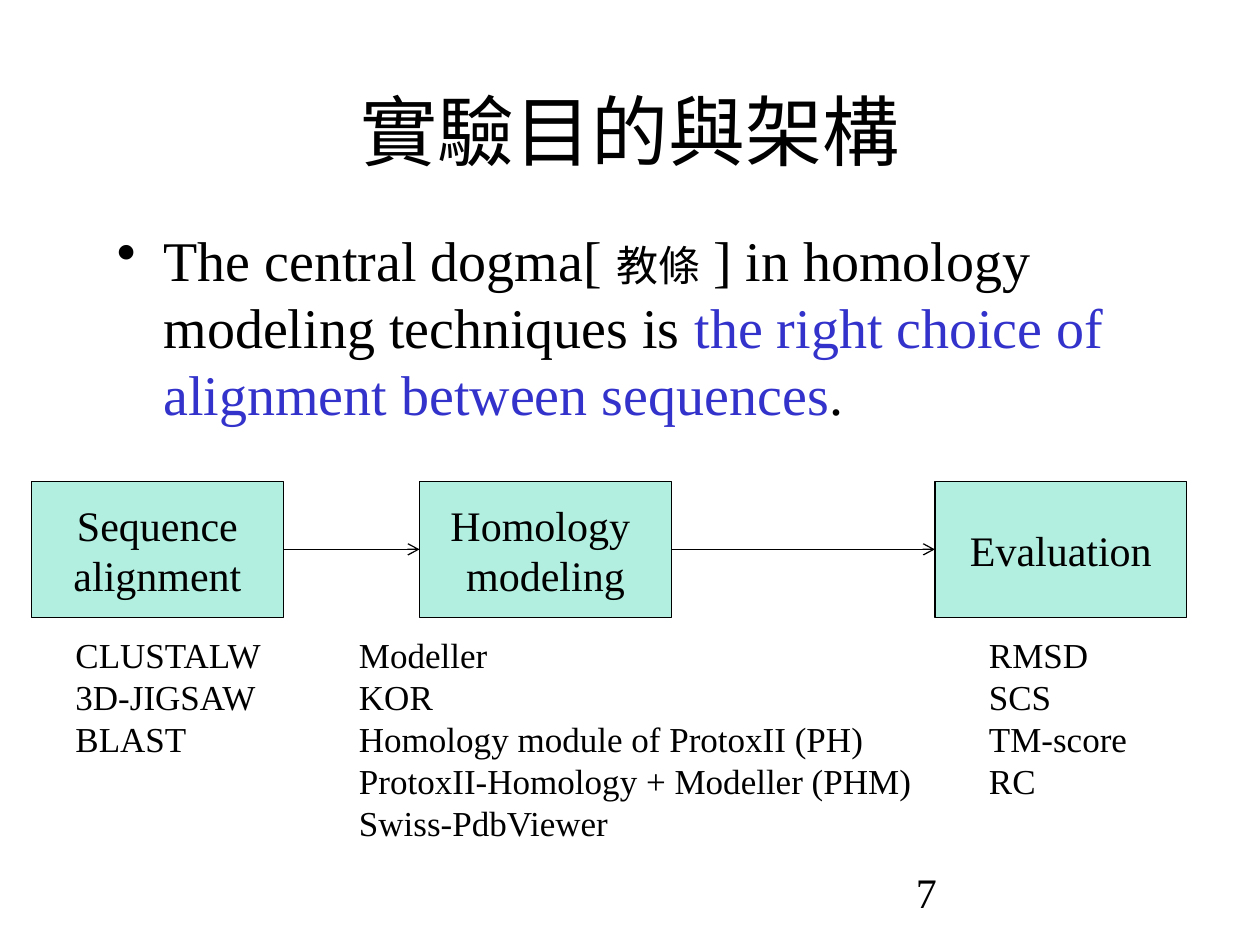
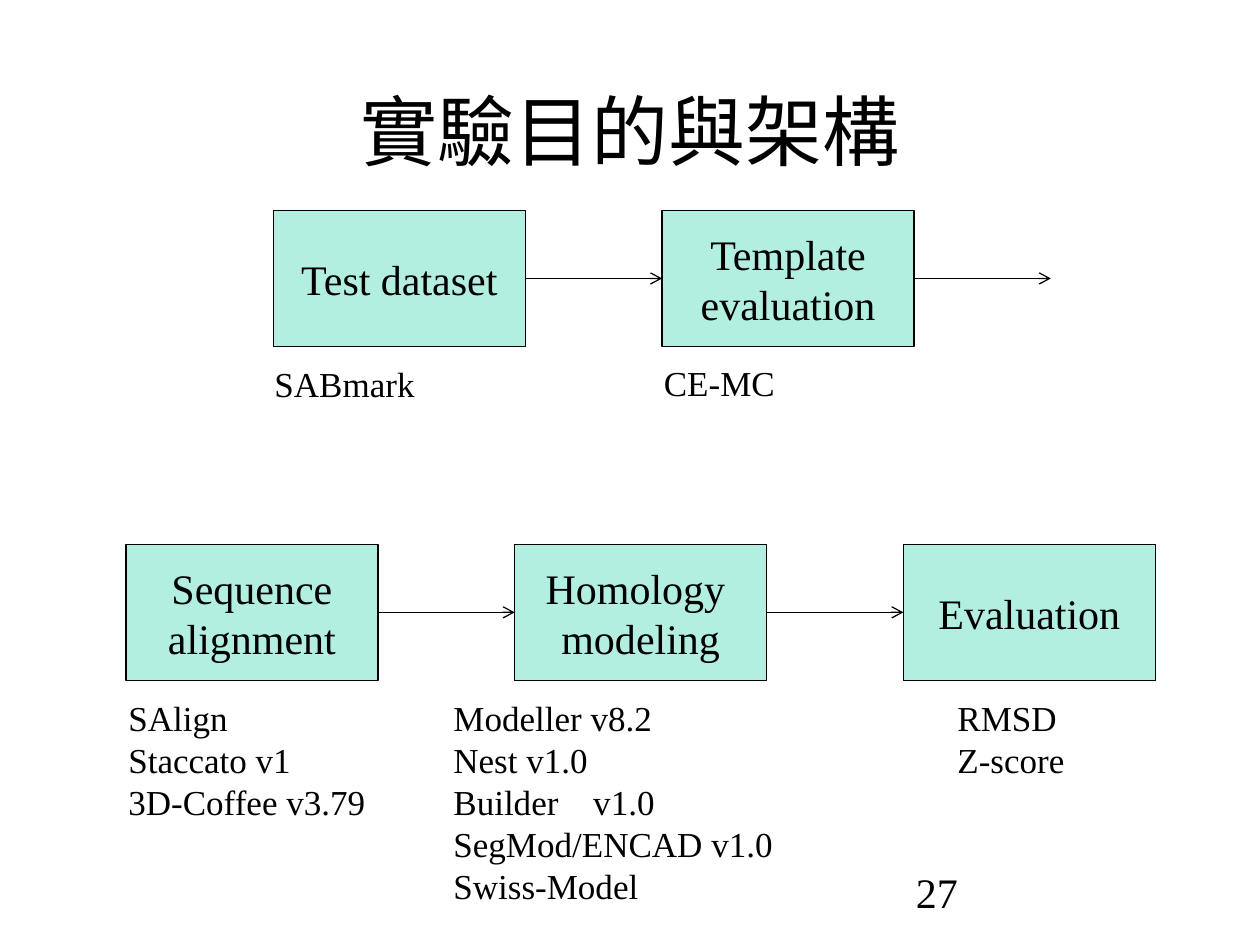
from lxml import etree
from pptx import Presentation
from pptx.dml.color import RGBColor
from pptx.enum import shapes, text
from pptx.oxml.ns import qn
from pptx.util import Inches, Pt

BLACK = RGBColor(0x00, 0x00, 0x00)
BLUE = RGBColor(0x33, 0x33, 0xCC)
GREEN = RGBColor(0x00, 0xCC, 0x99)
FONT = "Times New Roman"
CJK_FONT = "Karla"
TITLE = "實驗目的與架構"

BOX_W, BOX_H = 2, 1.08
PITCH = 3.085  # box width plus the usual arrow length
TITLE_ONLY = 5
LEFT_SITE, RIGHT_SITE = 1, 3


class Deck:
    """Holds the shared style and the current slide."""

    def __init__(self):
        self.prs = Presentation()
        self.prs.slide_width, self.prs.slide_height = Inches(10), Inches(7.5)
        self.slide = None

    def new_slide(self, number):
        self.slide = self.prs.slides.add_slide(self.prs.slide_layouts[TITLE_ONLY])
        title = self.slide.shapes.title
        title.left, title.top = Inches(0.75), Inches(0.57)
        title.width, title.height = Inches(8.5), Inches(0.92)
        title.text_frame.text = TITLE
        title.text_frame.vertical_anchor = text.MSO_ANCHOR.MIDDLE
        self.style(title.text_frame, 44, text.PP_ALIGN.CENTER)
        self.text_box(7.17, 6.83, 2.08, 0.5, number, 24)

    def style(self, frame, size, align=text.PP_ALIGN.LEFT):
        for paragraph in frame.paragraphs:
            paragraph.alignment = align
            for run in paragraph.runs:
                self.style_run(run, size)

    def style_run(self, run, size, color=BLACK, font=FONT):
        run.font.size, run.font.name = Pt(size), font
        run.font.color.rgb = color

    def text_box(self, left, top, width, height, content, size):
        box = self.slide.shapes.add_textbox(
            Inches(left), Inches(top), Inches(width), Inches(height))
        box.text_frame.word_wrap = True
        box.text_frame.text = content
        self.style(box.text_frame, size)
        return box.text_frame

    def tools(self, left, top, width, names):
        """List of tools or measures under a stage, one a line."""
        height = 0.1 + len(names) / 3
        frame = self.text_box(left, top, width, height, "\n".join(names), 20)
        for paragraph in frame.paragraphs:
            if "\t" in paragraph.text:
                tabs = etree.SubElement(
                    paragraph._p.get_or_add_pPr(), qn("a:tabLst"))
                etree.SubElement(tabs, qn("a:tab"), pos=str(Inches(1.11)), algn="l")

    def bullet(self, left, top, width, height, parts):
        """One bulleted paragraph; parts are (words, size, colour, font)."""
        frame = self.text_box(left, top, width, height, "", 32)
        paragraph = frame.paragraphs[0]
        props = paragraph._p.get_or_add_pPr()
        props.set("marL", str(Inches(0.37)))
        props.set("indent", str(-Inches(0.37)))
        etree.SubElement(props, qn("a:buChar"), char="•")
        for words, size, color, font in parts:
            run = paragraph.add_run()
            run.text = words
            self.style_run(run, size, color, font)

    def stage(self, left, top, label):
        box = self.slide.shapes.add_shape(
            shapes.MSO_SHAPE.RECTANGLE,
            Inches(left), Inches(top), Inches(BOX_W), Inches(BOX_H))
        box.shadow.inherit = False
        box.fill.solid()
        box.fill.fore_color.rgb = GREEN
        tint = box.fill._xPr.find(qn("a:solidFill"))[0]
        etree.SubElement(tint, qn("a:alpha"), val="30000")
        box.line.color.rgb, box.line.width = BLACK, Pt(0.75)
        frame = box.text_frame
        frame.word_wrap = False
        frame.vertical_anchor = text.MSO_ANCHOR.MIDDLE
        frame.text = label
        self.style(frame, 24, text.PP_ALIGN.CENTER)
        return box

    def arrow(self, source, target=None):
        """Arrow between stages, or leading onward when there is no target."""
        start = source.left + source.width
        middle = source.top + source.height // 2
        end = target.left if target else start + Inches(PITCH - BOX_W)
        link = self.slide.shapes.add_connector(
            shapes.MSO_CONNECTOR.STRAIGHT, start, middle, end, middle)
        link.begin_connect(source, RIGHT_SITE)
        if target:
            link.end_connect(target, LEFT_SITE)
        link.line.color.rgb, link.line.width = BLACK, Pt(0.75)
        etree.SubElement(link.line._get_or_add_ln(), qn("a:tailEnd"), type="arrow")
        etree.SubElement(link._element.spPr, qn("a:effectLst"))

    def flow(self, top, stages):
        """Row of linked stages; each is (left, label)."""
        boxes = [self.stage(left, top, label) for left, label in stages]
        for source, target in zip(boxes, boxes[1:]):
            self.arrow(source, target)
        return boxes


def main():
    deck = Deck()
    labels = ["Sequence\nalignment", "Homology \nmodeling", "Evaluation"]

    # Central dogma and the first workflow
    deck.new_slide("7")
    deck.bullet(0.83, 1.74, 8.5, 1.75, [
        ("The central dogma[ ", 32, BLACK, FONT),
        ("教條", 24, BLACK, CJK_FONT),
        (" ] in homology modeling techniques is ", 32, BLACK, FONT),
        ("the right choice of alignment between sequences", 32, BLUE, FONT),
        (".", 32, BLACK, FONT),
    ])
    deck.flow(3.82, zip([0.25, 3.33, 7.42], labels))
    deck.tools(0.5, 4.98, 1.92, ["CLUSTALW", "3D-JIGSAW", "BLAST"])
    deck.tools(2.75, 4.98, 6.25, [
        "Modeller", "KOR", "Homology module of ProtoxII (PH)",
        "ProtoxII-Homology + Modeller (PHM)", "Swiss-PdbViewer"])
    deck.tools(7.75, 4.98, 1.42, ["RMSD", "SCS", "TM-score", "RC"])

    # Workflow with data set and template evaluation
    deck.new_slide("27")
    deck.flow(4.32, [(1 + i * PITCH, label) for i, label in enumerate(labels)])
    deck.tools(0.92, 5.48, 2.25, ["SAlign", "Staccato v1", "3D-Coffee v3.79"])
    deck.tools(3.5, 5.48, 3.08, [
        "Modeller v8.2", "Nest v1.0", "Builder\tv1.0",
        "SegMod/ENCAD v1.0", "Swiss-Model"])
    deck.tools(7.5, 5.48, 1.42, ["RMSD", "Z-score"])

    preparation = ["Test dataset", "Template\nevaluation"]
    boxes = deck.flow(
        1.67, [(2.17 + i * PITCH, label) for i, label in enumerate(preparation)])
    deck.arrow(boxes[-1])
    deck.tools(2.08, 2.83, 2.25, ["SABmark"])
    deck.tools(5.17, 2.82, 2.25, ["CE-MC"])

    deck.prs.save("out.pptx")


if __name__ == "__main__":
    main()
